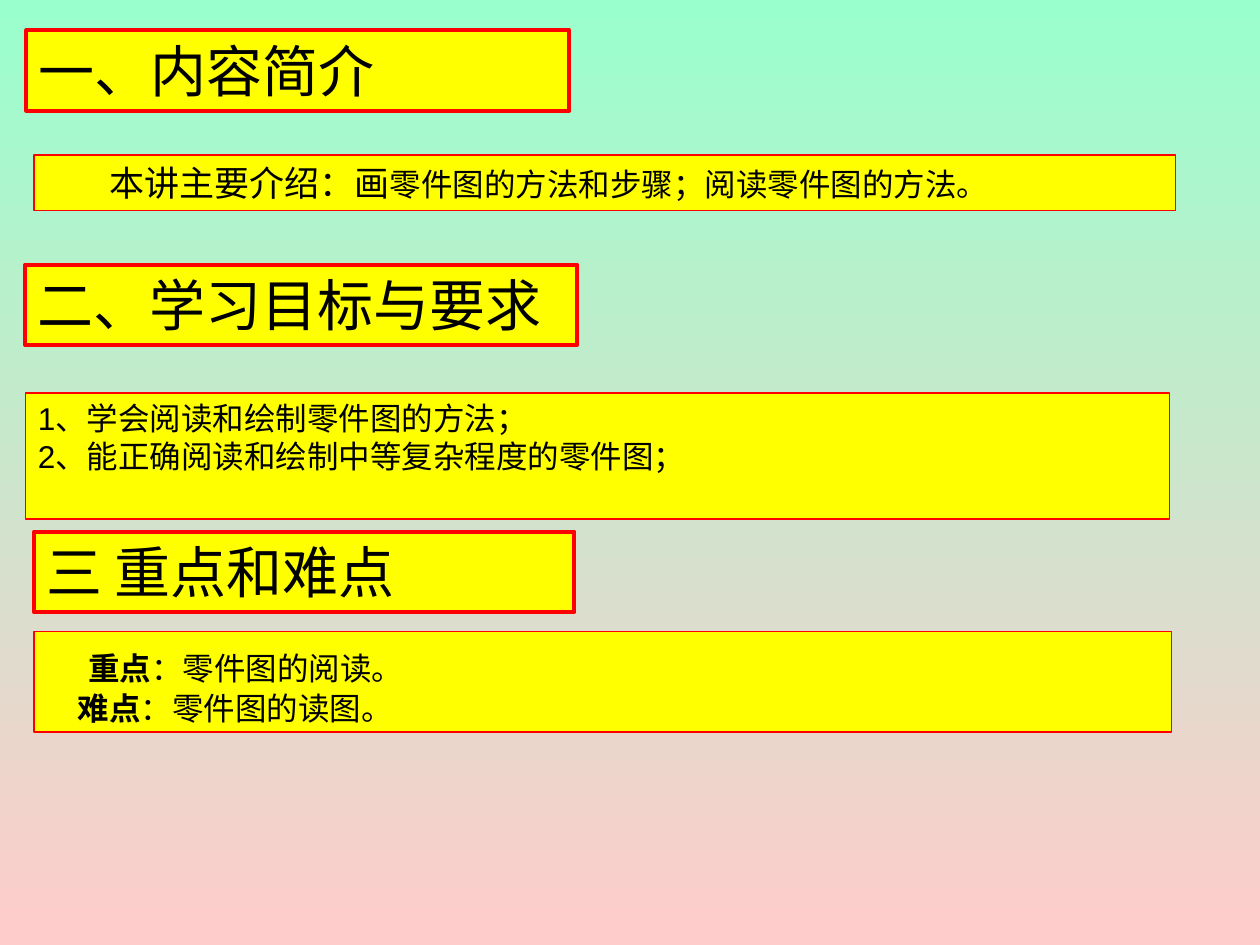
import pptx
import pptx.dml.color
import pptx.enum.shapes
import pptx.enum.text
import pptx.oxml
import pptx.util

Pt = pptx.util.Pt
RGBColor = pptx.dml.color.RGBColor

YELLOW = RGBColor(0xFF, 0xFF, 0x00)
RED = RGBColor(0xFF, 0x00, 0x00)
BLACK = RGBColor(0x00, 0x00, 0x00)
MINT = RGBColor(0x99, 0xFF, 0xCC)
PINK = RGBColor(0xFF, 0xCC, 0xCC)

SERIF = "Times New Roman"
SANS = "Arial"
HEADING_HEIGHT = 46


def paint_background(slide):
    """Fade from mint at the top to pink at the bottom."""
    fill = slide.background.fill
    fill.gradient()
    fill.gradient_angle = 270
    for stop, color, position in zip(fill.gradient_stops, (MINT, PINK), (0, 1)):
        stop.color.rgb = color
        stop.position = position


def add_rectangle(slide):
    box = slide.shapes.add_shape(
        pptx.enum.shapes.MSO_SHAPE.RECTANGLE, Pt(0), Pt(0), Pt(72), Pt(72))
    box.shadow.inherit = False
    return box


def format_box(box, left, top, width, height, line_width=0.75, inset_top=3.6):
    """Place a box and give it the yellow fill and red frame."""
    box.left, box.top = Pt(left), Pt(top)
    box.width, box.height = Pt(width), Pt(height)
    box.fill.solid()
    box.fill.fore_color.rgb = YELLOW
    box.line.color.rgb = RED
    box.line.width = Pt(line_width)
    frame = box.text_frame
    frame.word_wrap = True
    frame.auto_size = pptx.enum.text.MSO_AUTO_SIZE.NONE
    frame.vertical_anchor = pptx.enum.text.MSO_ANCHOR.TOP
    frame.margin_left = frame.margin_right = Pt(7.2)
    frame.margin_top, frame.margin_bottom = Pt(inset_top), Pt(3.6)


def add_text(para, text, size=18, font=SANS, bold=False):
    span = para.add_run()
    span.text = text
    span.font.size = Pt(size)
    span.font.name = font
    span.font.bold = bold
    span.font.color.rgb = BLACK


def add_para(box, first=True, indent=0, before=0):
    """Return an unbulleted, left-aligned paragraph."""
    frame = box.text_frame
    para = frame.paragraphs[0] if first else frame.add_paragraph()
    properties = para._p.get_or_add_pPr()
    properties.set("marL", "0")
    properties.set("indent", str(Pt(indent)))
    properties.append(pptx.oxml.parse_xml(
        '<a:buNone xmlns:a="http://schemas.openxmlformats.org/drawingml/2006/main"/>'))
    para.alignment = pptx.enum.text.PP_ALIGN.LEFT
    para.space_before = Pt(before)
    return para


def write_heading(box, text, left, top, width):
    format_box(box, left, top, width, HEADING_HEIGHT, line_width=2.25)
    add_text(add_para(box), text, size=32, font=SERIF)


def write_introduction(box):
    format_box(box, 19.4, 88.6, 652.3, 31.7)
    para = add_para(box, indent=36)
    add_text(para, "本讲主要介绍：画", size=20, font=SERIF)
    add_text(para, "零件图的方法和步骤；阅读零件图的方法。")


def write_goals(box):
    format_box(box, 14.4, 224.6, 653.8, 72)
    goals = ("1、学会阅读和绘制零件图的方法；",
             "2、能正确阅读和绘制中等复杂程度的零件图；")
    for index, goal in enumerate(goals):
        add_text(add_para(box, first=index == 0), goal)


def write_key_points(box):
    format_box(box, 19.4, 360.7, 650.2, 57.6, inset_top=10.4)
    points = (("重点", "：零件图的阅读。", 24, 0),
              ("难点", "：零件图的读图。", 18, 1))
    for index, (label, text, indent, before) in enumerate(points):
        para = add_para(box, first=index == 0, indent=indent, before=before)
        add_text(para, label, bold=True)
        add_text(para, text)


def main():
    deck = pptx.Presentation()
    deck.slide_width, deck.slide_height = Pt(720), Pt(540)
    page = deck.slides.add_slide(deck.slide_layouts[1])
    paint_background(page)

    # Section 1: introduction
    write_heading(page.shapes.title, "一、内容简介", 15, 17.3, 310.3)
    write_introduction(add_rectangle(page))

    # Section 2: goals
    write_heading(add_rectangle(page), "二、学习目标与要求", 14.4, 151.2, 315.4)
    write_goals(page.placeholders[1])

    # Section 3: key and difficult points
    write_heading(add_rectangle(page), "三 重点和难点", 19.4, 303.8, 308.9)
    write_key_points(add_rectangle(page))

    deck.save("out.pptx")


if __name__ == "__main__":
    main()
